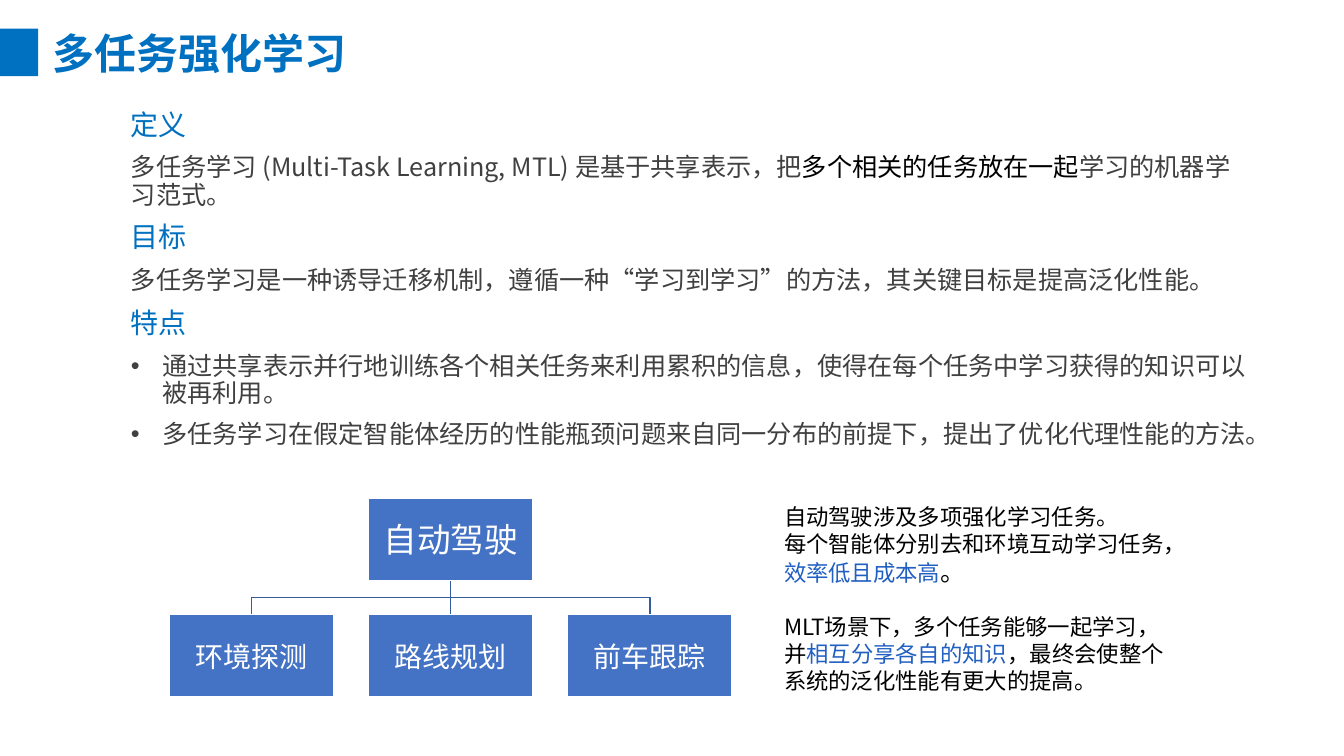
from lxml.etree import SubElement
from pptx import Presentation
from pptx.dml.color import RGBColor
from pptx.enum.shapes import MSO_CONNECTOR, MSO_SHAPE
from pptx.enum.text import MSO_ANCHOR, PP_ALIGN
from pptx.oxml.ns import qn
from pptx.util import Cm, Pt

BLUE = RGBColor(0x00, 0x70, 0xC0)
GREY = RGBColor(0x40, 0x40, 0x40)
BLACK = RGBColor(0x00, 0x00, 0x00)
WHITE = RGBColor(0xFF, 0xFF, 0xFF)
NODE_BLUE = RGBColor(0x44, 0x72, 0xC4)
LINE_BLUE = RGBColor(0x36, 0x5B, 0x9D)
ACCENT = RGBColor(0x21, 0x5F, 0xC3)
CJK_FONT = "Noto Sans CJK SC"

NODE_W, NODE_H, NODE_PITCH = 4.14, 2.08, 5.02
TREE_LEFT, ROOT_TOP, TASK_TOP = 4.27, 12.55, 15.49
TASKS = ["环境探测", "路线规划", "前车跟踪"]

SECTIONS = [
    ("定义", False, [[
        ("多任务学习 (Multi-Task Learning, MTL) 是基于共享表示，把", GREY),
        ("多个相关的任务放在一起", BLACK),
        ("学习的机器学习范式。", GREY)]]),
    ("目标", False, [[
        ("多任务学习是一种诱导迁移机制，遵循一种“学习到学习”的方法，其关键目标是提高泛化性能。", GREY)]]),
    ("特点", True, [
        [("通过共享表示并行地训练各个相关任务来利用累积的信息，使得在每个任务中学习获得的知识可以被再利用。", GREY)],
        [("多任务学习在假定智能体经历的性能瓶颈问题来自同一分布的前提下，提出了优化代理性能的方法。", GREY)]]),
]

NOTES = [
    [("自动驾驶涉及多项强化学习任务。", BLACK, 16)],
    [("每个智能体分别去和环境互动学习任务，", BLACK, 16),
     ("效率低且成本高", ACCENT, 16), ("。", BLACK, 18)],
    [("MLT场景下，多个任务能够一起学习，并", BLACK, 16),
     ("相互分享各自的知识", ACCENT, 16),
     ("，最终会使整个系统的泛化性能有更大的提高。", BLACK, 16)],
]


def add_run(p, text, size, color, font=CJK_FONT, bold=False):
    r = p.add_run()
    r.text = text
    r.font.size = Pt(size)
    r.font.bold = bold
    r.font.color.rgb = color
    r.font.name = font
    SubElement(r.font._element, qn("a:ea")).set("typeface", font)


def next_paragraph(tf):
    """Return the first paragraph while it is empty, else a new one."""
    first = tf.paragraphs[0]
    return tf.add_paragraph() if first.runs else first


def add_bullet(p):
    pPr = p._p.get_or_add_pPr()
    pPr.set("marL", str(Cm(0.79)))
    pPr.set("indent", str(-Cm(0.79)))
    SubElement(pPr, qn("a:buFont")).set("typeface", "Arial")
    SubElement(pPr, qn("a:buChar")).set("char", "•")


def set_margins(tf, margin):
    tf.margin_left = tf.margin_right = margin
    tf.margin_top = tf.margin_bottom = margin


def add_text_frame(s, left, top, width, height):
    tf = s.shapes.add_textbox(Cm(left), Cm(top), Cm(width), Cm(height)).text_frame
    tf.word_wrap = True
    return tf


def add_rect(s, left, top, width, height, fill):
    sp = s.shapes.add_shape(MSO_SHAPE.RECTANGLE, Cm(left), Cm(top), Cm(width), Cm(height))
    sp.shadow.inherit = False
    sp.fill.solid()
    sp.fill.fore_color.rgb = fill
    sp.line.fill.background()
    return sp


def add_node(s, left, top, text, size):
    sp = add_rect(s, left, top, NODE_W, NODE_H, NODE_BLUE)
    sp.line.color.rgb = WHITE
    sp.line.width = Pt(1)
    tf = sp.text_frame
    tf.word_wrap = True
    tf.vertical_anchor = MSO_ANCHOR.MIDDLE
    set_margins(tf, Cm(0.04))
    p = tf.paragraphs[0]
    p.alignment = PP_ALIGN.CENTER
    add_run(p, text, size, WHITE, "Arial")


def style_line(line):
    line.line.color.rgb = LINE_BLUE
    line.line.width = Pt(1)


def add_branch(s, root_x, task_x):
    """Link the root node to a task, bending halfway down."""
    top, bottom = ROOT_TOP + NODE_H, TASK_TOP
    if root_x == task_x:
        line = s.shapes.add_connector(MSO_CONNECTOR.STRAIGHT, Cm(root_x), Cm(top),
                                      Cm(task_x), Cm(bottom))
        SubElement(line._element.spPr, qn("a:effectLst"))
    else:
        middle = (top + bottom) / 2
        path = s.shapes.build_freeform(Cm(root_x), Cm(top))
        path.add_line_segments([(Cm(root_x), Cm(middle)), (Cm(task_x), Cm(middle)),
                                (Cm(task_x), Cm(bottom))], close=False)
        line = path.convert_to_shape()
        line.shadow.inherit = False
        line.fill.background()
    style_line(line)


def add_title(s, text):
    add_rect(s, -0.02, 0.72, 0.98, 1.2, BLUE)
    tf = add_text_frame(s, 1.33, 0.84, 25.55, 0.97)
    set_margins(tf, 0)
    p = tf.paragraphs[0]
    p.line_spacing = 0.9
    add_run(p, text, 30, BLUE, bold=True)


def add_sections(s):
    tf = add_text_frame(s, 3.05, 2.67, 28.63, 13.23)
    for heading, bulleted, items in SECTIONS:
        add_run(next_paragraph(tf), heading, 20, BLUE)
        for item in items:
            p = next_paragraph(tf)
            if bulleted:
                add_bullet(p)
            for text, color in item:
                add_run(p, text, 18, color)
    for i, p in enumerate(tf.paragraphs):
        p.line_spacing = 0.9
        p.space_before = Pt(10 if i else 0)


def add_task_tree(s):
    lefts = [TREE_LEFT + i * NODE_PITCH for i in range(len(TASKS))]
    root_left = lefts[1]
    for left in lefts:
        add_branch(s, root_left + NODE_W / 2, left + NODE_W / 2)
    add_node(s, root_left, ROOT_TOP, "自动驾驶", 24)
    for left, task in zip(lefts, TASKS):
        add_node(s, left, TASK_TOP, task, 20)


def add_notes_column(s):
    tf = add_text_frame(s, 19.51, 12.55, 10.46, 5.13)
    for note in NOTES:
        p = next_paragraph(tf)
        for text, color, size in note:
            add_run(p, text, size, color)
    tf.paragraphs[-1].space_before = Pt(19)


def main():
    prs = Presentation()
    prs.slide_width, prs.slide_height = Cm(33.87), Cm(19.05)
    s = prs.slides.add_slide(prs.slide_layouts[6])
    add_title(s, "多任务强化学习")
    add_sections(s)
    add_task_tree(s)
    add_notes_column(s)
    prs.save("out.pptx")


if __name__ == "__main__":
    main()
